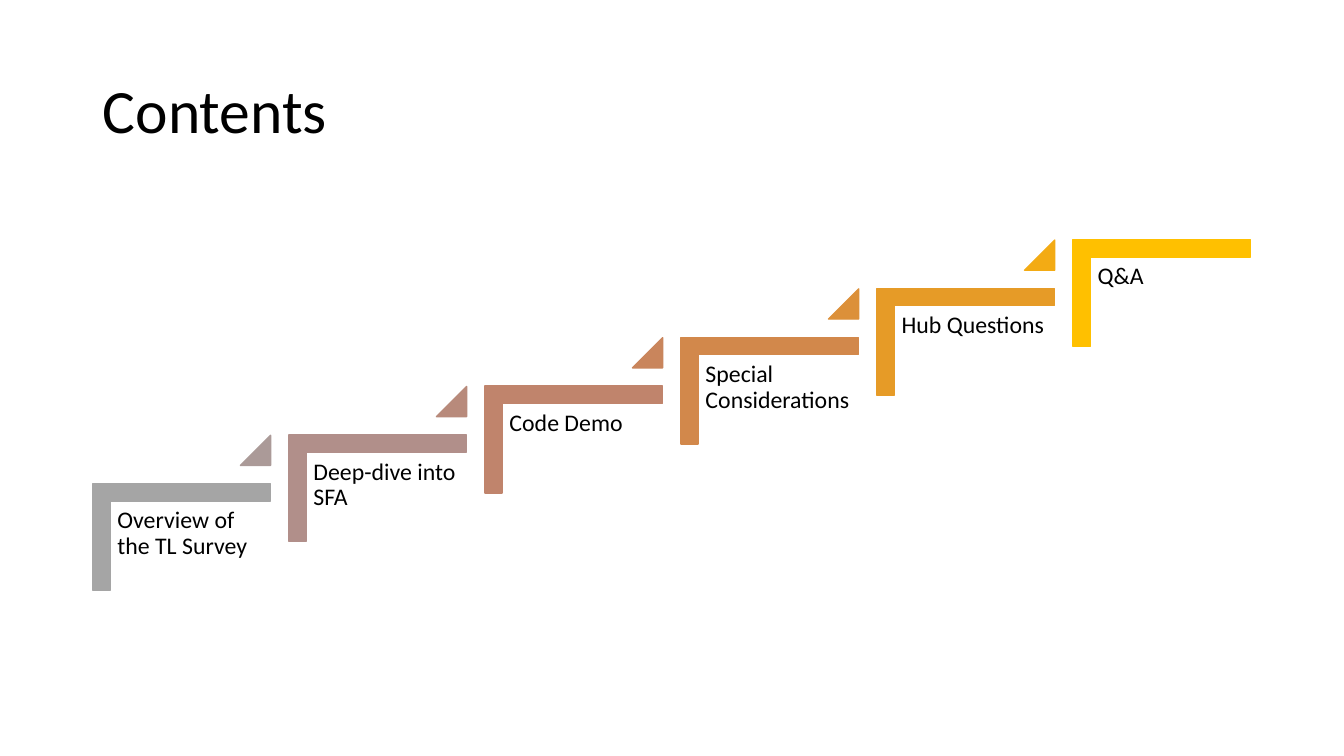
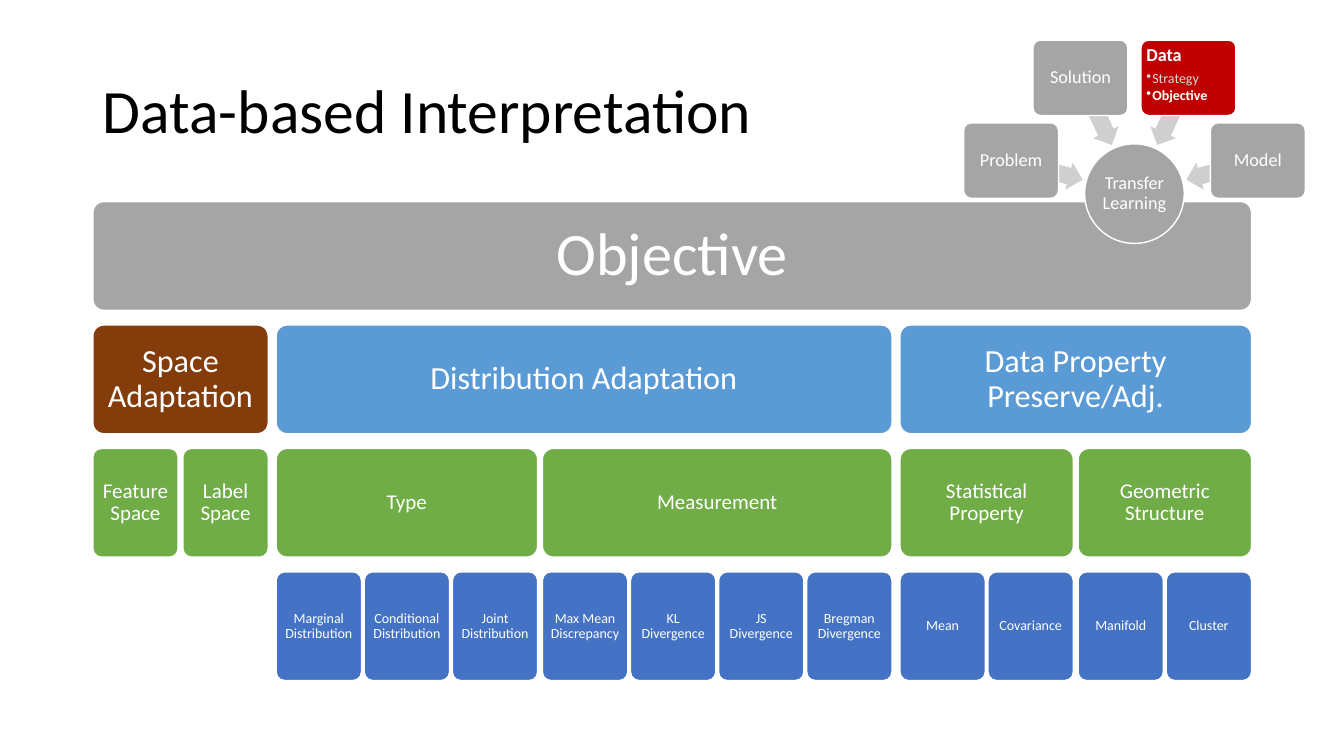
from math import cos, radians, sin

from lxml import etree
from pptx import Presentation
from pptx.dml.color import RGBColor
from pptx.enum import shapes, text
from pptx.oxml.ns import qn
from pptx.util import Cm, Pt

FONT = "Calibri"
BLACK, WHITE, GREY, PALE_GREY = "000000", "FFFFFF", "A5A5A5", "CFCFCF"
RED, BROWN = "C00000", "843C0B"
LEFT = 2.34
SHAPE = shapes.MSO_SHAPE
ALIGN = text.PP_ALIGN
ANCHOR = text.MSO_ANCHOR

STEPS = [
    ("Overview of the TL Survey", "A5A5A5", "AB9A98"),
    ("Deep-dive into SFA", "B18F8A", "B88A7B"),
    ("Code Demo", "C0846C", "C9855C"),
    ("Special Considerations", "D2884B", "DC9039"),
    ("Hub Questions", "E69B27", "F3AB14"),
    ("Q&A", "FFC000", None),
]

# Fill, text size, inset and gap between siblings for each level
LEVELS = [
    (GREY, 43, 0.46, 0),
    ("5B9BD5", 23, 0.25, 0.2),
    ("70AD47", 15, 0.15, 0.12),
    ("4472C4", 10, 0.1, 0.07),
]
LEAF_WIDTH, ROW_HEIGHT, ROW_PITCH, TREE_TOP = 2.15, 2.74, 3.11, 5.08


def leaves(*labels):
    return [(label, []) for label in labels]


TREE = ("Objective", [
    ("Space Adaptation", leaves("Feature Space", "Label Space")),
    ("Distribution Adaptation", [
        ("Type", leaves("Marginal Distribution", "Conditional Distribution",
                        "Joint Distribution")),
        ("Measurement", leaves("Max Mean Discrepancy", "KL Divergence",
                               "JS Divergence", "Bregman Divergence")),
    ]),
    ("Data Property Preserve/Adj.", [
        ("Statistical Property", leaves("Mean", "Covariance")),
        ("Geometric Structure", leaves("Manifold", "Cluster")),
    ]),
])
FILL_OVERRIDES = {"Space Adaptation": BROWN}


def color(value):
    return RGBColor.from_string(value)


def set_all(target, values):
    for name, value in values.items():
        setattr(target, name, value)


def format_paragraph(paragraph, size, hue, align, bold=False, after=0):
    set_all(paragraph, {"alignment": align, "line_spacing": 0.9,
                        "space_after": Pt(after)})
    set_all(paragraph.font, {"name": FONT, "size": Pt(size), "bold": bold})
    paragraph.font.color.rgb = color(hue)


def set_frame(frame, inset, anchor):
    sides = ("left", "right", "top", "bottom")
    set_all(frame, {f"margin_{side}": Cm(inset) for side in sides})
    set_all(frame, {"word_wrap": True, "vertical_anchor": anchor})


def write(frame, words, size, hue=WHITE, align=ALIGN.CENTER,
          anchor=ANCHOR.MIDDLE, inset=0.0):
    set_frame(frame, inset, anchor)
    frame.text = words
    format_paragraph(frame.paragraphs[0], size, hue, align)


def add_figure(slide, kind, box, fill, line=None, adjust=(), turn=0):
    figure = slide.shapes.add_shape(kind, *map(Cm, box))
    figure.shadow.inherit = False
    figure.rotation = turn
    figure.fill.solid()
    figure.fill.fore_color.rgb = color(fill)
    if line:
        figure.line.color.rgb = color(line)
        figure.line.width = Pt(1)
    else:
        figure.line.fill.background()
    for index, value in enumerate(adjust):
        figure.adjustments[index] = value
    return figure


def add_card(slide, box, fill):
    return add_figure(slide, SHAPE.ROUNDED_RECTANGLE, box, fill, WHITE, [0.1])


def add_titled_slide(deck, heading):
    slide = deck.slides.add_slide(deck.slide_layouts[5])
    title = slide.shapes.title
    set_all(title, {"left": Cm(LEFT), "top": Cm(1.02),
                    "width": Cm(29.21), "height": Cm(3.68)})
    write(title.text_frame, heading, 44, BLACK, ALIGN.LEFT, inset=0.25)
    return slide


def add_staircase(slide):
    for index, (label, fill, riser_fill) in enumerate(STEPS):
        x, y = LEFT + 4.94 * index, 12.19 - 1.23 * index
        # The corner is turned a quarter, so its box is the upright one
        add_figure(slide, SHAPE.CORNER, (x + 0.89, y - 0.89, 2.69, 4.47),
                   fill, fill, [0.161, 0.161], 90)
        caption = slide.shapes.add_textbox(
            *map(Cm, (x + 0.44, y + 0.44, 4.04, 3.53)))
        write(caption.text_frame, label, 17, BLACK, ALIGN.LEFT, ANCHOR.TOP, 0.18)
        if riser_fill:
            add_figure(slide, SHAPE.ISOSCELES_TRIANGLE,
                       (x + 3.72, y - 1.22, 0.76, 0.76),
                       riser_fill, riser_fill, [1])


def add_tree(slide, node, left=LEFT, level=0):
    """Draw a node above its children and return the width it takes."""
    label, children = node
    right = left
    for child in children:
        gap = LEVELS[level + 1][3] if right > left else 0
        right += gap
        right += add_tree(slide, child, right, level + 1)
    width = right - left if children else LEAF_WIDTH
    fill, size, inset, _ = LEVELS[level]
    top = TREE_TOP + ROW_PITCH * level
    card = add_card(slide, (left, top, width, ROW_HEIGHT),
                    FILL_OVERRIDES.get(label, fill))
    write(card.text_frame, label, size, inset=inset)
    return width


def add_bullet(paragraph):
    properties = paragraph._p.get_or_add_pPr()
    properties.set("marL", str(Cm(0.15)))
    properties.set("indent", str(-Cm(0.15)))
    etree.SubElement(properties, qn("a:buChar"), char="•")


def write_data_card(frame):
    write(frame, "Data", 13, WHITE, ALIGN.LEFT, ANCHOR.TOP, 0.08)
    format_paragraph(frame.paragraphs[0], 13, WHITE, ALIGN.LEFT, True, 4.5)
    for item, hue, bold in (("Strategy", "D9D9D9", False),
                            ("Objective", WHITE, True)):
        paragraph = frame.add_paragraph()
        paragraph.text = item
        add_bullet(paragraph)
        format_paragraph(paragraph, 10, hue, ALIGN.LEFT, bold, 1.5)


def add_hub(slide):
    center_x, center_y = 28.59, 4.88

    def orbit(angle, radius, width, height):
        return (center_x + radius * cos(radians(angle)) - width / 2,
                center_y + radius * sin(radians(angle)) - height / 2,
                width, height)

    hub = add_figure(slide, SHAPE.OVAL, orbit(0, 0, 2.51, 2.51), GREY, WHITE)
    write(hub.text_frame, "Transfer Learning", 13, inset=0.03)
    for index, topic in enumerate(("Problem", "Solution", "Data", "Model")):
        angle = 195 + 50 * index
        add_figure(slide, SHAPE.LEFT_ARROW, orbit(angle, 2.28, 1.85, 0.71),
                   PALE_GREY, adjust=[0.6, 0.5], turn=angle)
        active = topic == "Data"
        card = add_card(slide, orbit(angle, 3.22, 2.39, 1.9),
                        RED if active else GREY)
        if active:
            write_data_card(card.text_frame)
        else:
            write(card.text_frame, topic, 13, inset=0.08)


def main():
    deck = Presentation()
    set_all(deck, {"slide_width": Cm(33.87), "slide_height": Cm(19.05)})
    add_staircase(add_titled_slide(deck, "Contents"))
    interpretation = add_titled_slide(deck, "Data-based Interpretation")
    add_tree(interpretation, TREE)
    add_hub(interpretation)
    deck.save("out.pptx")


if __name__ == "__main__":
    main()
